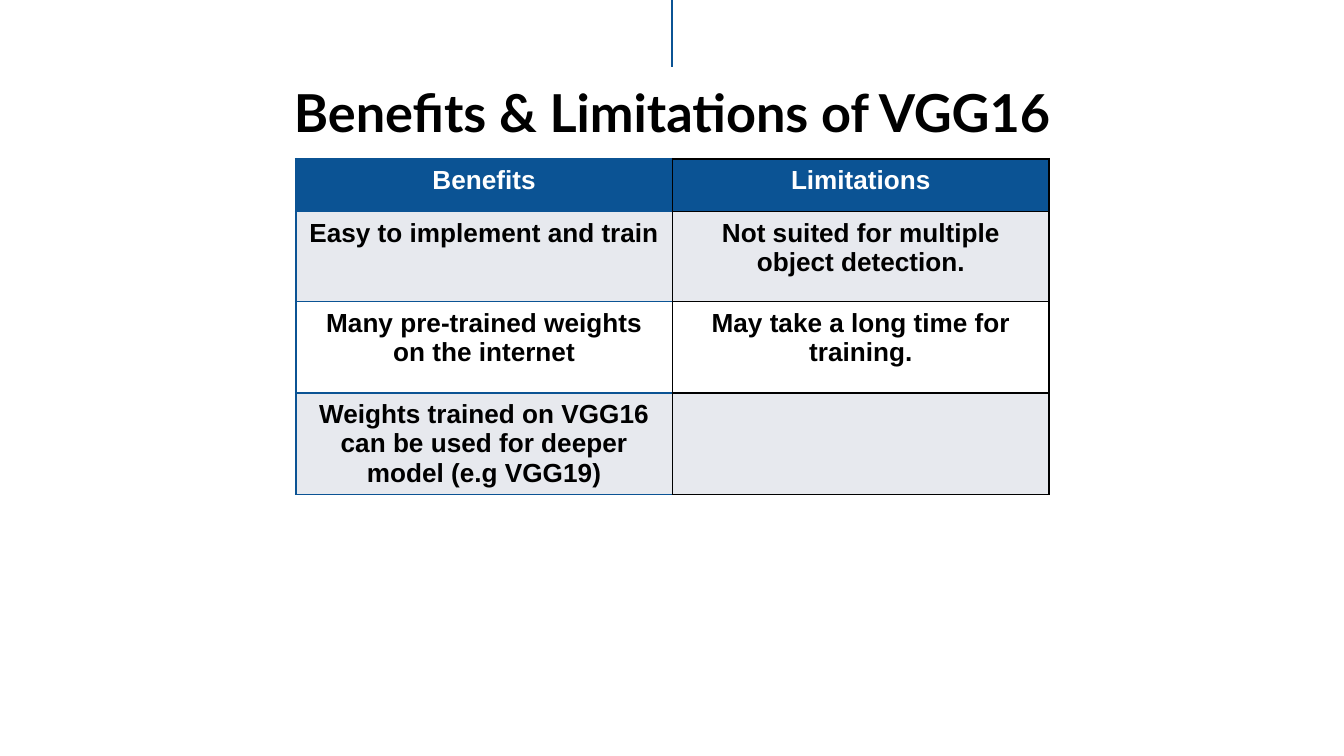
from lxml import etree
from pptx import Presentation
from pptx.dml.color import RGBColor
from pptx.enum.shapes import MSO_CONNECTOR
from pptx.enum.text import MSO_ANCHOR, MSO_AUTO_SIZE, PP_ALIGN
from pptx.oxml.ns import qn
from pptx.util import Cm, Pt

CENTER = PP_ALIGN.CENTER
TOP = MSO_ANCHOR.TOP
NO_AUTOFIT = MSO_AUTO_SIZE.NONE
STRAIGHT = MSO_CONNECTOR.STRAIGHT
TITLE_ONLY = 5

COLORS = {
    "blue": "0B5394",
    "band": "E7E9EE",
    "white": "FFFFFF",
    "black": "000000",
}

ROWS = [
    ("Benefits", "Limitations"),
    ("Easy to implement and train", "Not suited for multiple object detection."),
    ("Many pre-trained weights on the internet", "May take a long time for training."),
    ("Weights trained on VGG16 can be used for deeper model (e.g VGG19)", ""),
]
ROW_HEIGHTS = [1, 1.7, 1.73, 1.73]


def rgb(name):
    return RGBColor.from_string(COLORS[name])


def format_paragraph(p, font, size, color):
    p.alignment = CENTER
    p.font.name = font
    p.font.size = Pt(size)
    p.font.bold = True
    p.font.color.rgb = rgb(color)


def add_top_rule(slide, x, y, length):
    line = slide.shapes.add_connector(STRAIGHT, Cm(x), Cm(y), Cm(x), Cm(y + length))
    line.line.color.rgb = rgb("blue")
    line.line.width = Pt(1.5)
    etree.SubElement(line._element.spPr, qn("a:effectLst"))


def set_title(slide, text, left, top, width, height):
    title = slide.shapes.title
    title.left, title.top, title.width, title.height = map(Cm, (left, top, width, height))
    tf = title.text_frame
    tf.text = text
    tf.auto_size = NO_AUTOFIT
    tf.vertical_anchor = TOP
    tf.margin_left = tf.margin_right = tf.margin_top = tf.margin_bottom = Cm(0.25)
    format_paragraph(tf.paragraphs[0], "Lato", 28, "black")


def set_borders(cell, **sides):
    """Draw 1 pt borders; call before the fill, which must follow them in the XML."""
    tc_pr = cell._tc.get_or_add_tcPr()
    for side in "LRTB":
        ln = etree.SubElement(tc_pr, qn(f"a:ln{side}"), w=str(Pt(1)))
        fill = etree.SubElement(ln, qn("a:solidFill"))
        etree.SubElement(fill, qn("a:srgbClr"), val=COLORS[sides[side]])


def add_comparison_table(slide, left, top, width):
    height = sum(ROW_HEIGHTS)
    table = slide.shapes.add_table(
        len(ROWS), 2, Cm(left), Cm(top), Cm(width), Cm(height)
    ).table
    for row, row_height in zip(table.rows, ROW_HEIGHTS):
        row.height = Cm(row_height)
    for i, texts in enumerate(ROWS):
        fill = "blue" if i == 0 else "band" if i % 2 else "white"
        for j, text in enumerate(texts):
            cell = table.cell(i, j)
            edge = "black" if j else "blue"
            set_borders(cell, L=edge, R="black", T=edge, B=edge)
            cell.fill.solid()
            cell.fill.fore_color.rgb = rgb(fill)
            if text:
                cell.text = text
                format_paragraph(cell.text_frame.paragraphs[0], "Arial", 14,
                                 "black" if i else "white")


def main():
    prs = Presentation()
    prs.slide_width, prs.slide_height = Cm(25.4), Cm(14.29)
    slide = prs.slides.add_slide(prs.slide_layouts[TITLE_ONLY])
    add_top_rule(slide, 12.7, 0, 1.27)
    set_title(slide, "Benefits & Limitations of VGG16", 2, 1.27, 21.4, 1.5)
    add_comparison_table(slide, 5.59, 3, 14.24)
    prs.save("out.pptx")


if __name__ == "__main__":
    main()
